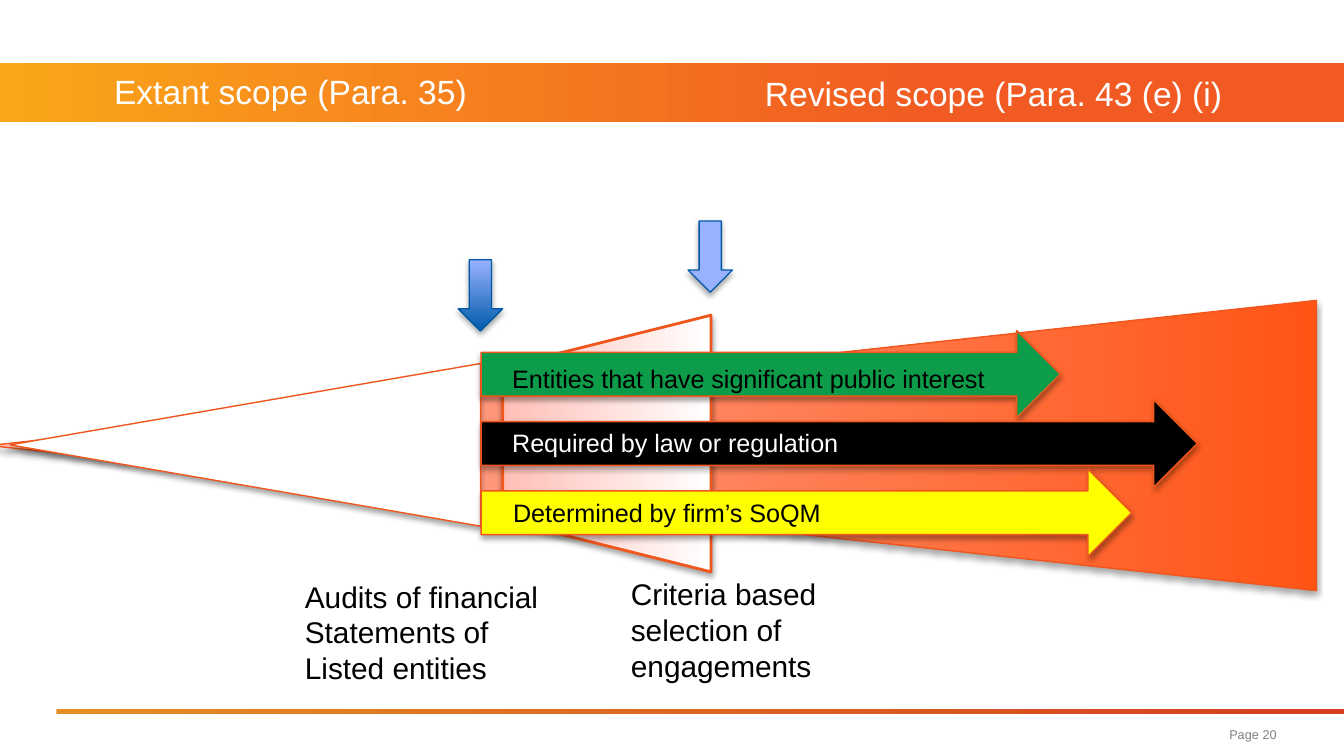
from dataclasses import dataclass
from typing import NamedTuple, Optional

from lxml import etree
from pptx import Presentation
from pptx.dml.color import RGBColor
from pptx.enum.shapes import MSO_SHAPE
from pptx.enum.text import MSO_ANCHOR, PP_ALIGN
from pptx.oxml.ns import qn
from pptx.util import Inches, Pt

RECT = MSO_SHAPE.RECTANGLE
EXTRACT = MSO_SHAPE.FLOWCHART_EXTRACT
TRIANGLE = MSO_SHAPE.ISOSCELES_TRIANGLE
TRAPEZOID = MSO_SHAPE.TRAPEZOID
DOWN = MSO_SHAPE.DOWN_ARROW
RIGHT = MSO_SHAPE.RIGHT_ARROW
TOP, MIDDLE = MSO_ANCHOR.TOP, MSO_ANCHOR.MIDDLE
ALIGN_LEFT, ALIGN_RIGHT = PP_ALIGN.LEFT, PP_ALIGN.RIGHT

WIDTH = Inches(10)
HEIGHT = WIDTH * 9 // 16
UNIT = WIDTH / 100


@dataclass(frozen=True)
class Theme:
    font: str = "Arial"
    black: str = "000000"
    white: str = "FFFFFF"
    grey: str = "808080"
    amber: str = "FAA61A"
    orange: str = "F15A22"
    ochre: str = "E58D23"
    red: str = "D53D20"
    flame: str = "FF5414"
    pink: str = "FFBFB7"
    edge: str = "F1561C"
    blue: str = "005BAA"
    sky: str = "98B2FF"
    blue_edge: str = "0059A6"
    green: str = "0D9C4A"
    yellow: str = "FFFF00"
    heading: float = 18
    caption: float = 16
    label: float = 13.5
    footer: float = 6.8


T = Theme()


class Box(NamedTuple):
    col: float
    row: float
    cols: float
    rows: float

    def emu(self) -> list[int]:
        return [round(v * UNIT) for v in self]


class Gradient(NamedTuple):
    start: str
    end: str
    angle: float = 0
    end_at: float = 1


@dataclass(frozen=True)
class Figure:
    kind: int
    box: Box
    fill: str | Gradient
    line: Optional[str] = T.edge
    weight: float = 0.75
    rotation: float = 0


@dataclass(frozen=True)
class Label:
    text: str
    box: Box
    size: float
    color: str = T.black
    align: int = ALIGN_LEFT
    anchor: int = TOP
    inset: Optional[float] = None


class Criterion(NamedTuple):
    text: str
    cols: float
    fill: str
    color: str
    label_col: float
    label_row: float


def add_shadow(s) -> None:
    effects = etree.SubElement(s._element.spPr, qn("a:effectLst"))
    shadow = etree.SubElement(effects, qn("a:outerShdw"), blurRad=str(Pt(3.1)),
                              dist=str(Pt(1.8)), dir="5400000", rotWithShape="0")
    color = etree.SubElement(shadow, qn("a:srgbClr"), val=T.black)
    etree.SubElement(color, qn("a:alpha"), val="35000")


def paint(fill, value: str | Gradient) -> None:
    if isinstance(value, str):
        fill.solid()
        fill.fore_color.rgb = RGBColor.from_string(value)
        return
    fill.gradient()
    fill.gradient_angle = value.angle
    stops = zip(fill.gradient_stops, (value.start, value.end), (0, value.end_at))
    for stop, color, position in stops:
        stop.color.rgb = RGBColor.from_string(color)
        stop.position = position


def draw_figure(shapes, figure: Figure) -> None:
    s = shapes.add_shape(figure.kind, *figure.box.emu())
    s.rotation = figure.rotation
    paint(s.fill, figure.fill)
    if figure.line is None:
        s.line.fill.background()
        s.shadow.inherit = False
        return
    paint(s.line.fill, figure.line)
    s.line.width = Pt(figure.weight)
    add_shadow(s)


def draw_label(shapes, label: Label) -> None:
    tf = shapes.add_textbox(*label.box.emu()).text_frame
    frame = {"word_wrap": True, "vertical_anchor": label.anchor}
    if label.inset is not None:
        for side in ("left", "top", "right", "bottom"):
            frame[f"margin_{side}"] = Inches(label.inset)
    for name, value in frame.items():
        setattr(tf, name, value)
    p = tf.paragraphs[0]
    p.alignment = label.align
    r = p.add_run()
    r.text = label.text
    for name, value in {"name": T.font, "size": Pt(label.size)}.items():
        setattr(r.font, name, value)
    r.font.color.rgb = RGBColor.from_string(label.color)


BARS = [
    Figure(RECT, Box(0, 4.7, 100, 4.4), Gradient(T.amber, T.orange, end_at=0.7), None),
    Figure(RECT, Box(4.2, 52.75, 95.8, 0.4), Gradient(T.ochre, T.red), None),
]
SCOPES = [
    Figure(EXTRACT, Box(37.8, -16.2, 21.6, 98.7), Gradient(T.flame, T.pink, 90), rotation=270),
    Figure(TRIANGLE, Box(12.2, 15.6, 12.1, 35), T.white, rotation=270),
    Figure(DOWN, Box(34.1, 19.33, 3.3, 5.3), Gradient(T.blue, T.sky, 90), T.blue_edge),
    Figure(TRAPEZOID, Box(35.6, 25.25, 19.1, 15.5), Gradient(T.white, T.pink, 90),
           weight=1.5, rotation=270),
    Figure(DOWN, Box(51.2, 16.45, 3.3, 5.3), T.sky, T.blue_edge),
]
CRITERIA = [
    Criterion("Entities that have significant public interest", 43.1, T.green, T.black,
              37.13, 26.55),
    Criterion("Required by law or regulation", 53.3, T.black, T.white, 37.13, 31.3),
    Criterion("Determined by firm’s SoQM", 48.4, T.yellow, T.black, 37.2, 36.5),
]
FIRST_ROW, PITCH = 24.6, 5.15
LABELS = [
    Label("Extant scope (Para. 35)", Box(7.5, 4.8, 36.5, 4), T.heading, T.white),
    Label("Revised scope (Para. 43 (e) (i)", Box(55.93, 4.94, 37.6, 4), T.heading, T.white),
    Label("Audits of financial Statements of Listed entities",
          Box(21.7, 42.54, 21.2, 9.1), T.caption),
    Label("Criteria based selection of engagements", Box(45.96, 42.34, 18, 9.1), T.caption),
    Label("Page 20", Box(72.2, 53.4, 22.8, 2.5), T.footer, T.grey, ALIGN_RIGHT, MIDDLE, 0),
]


def main() -> None:
    prs = Presentation()
    prs.slide_width, prs.slide_height = WIDTH, HEIGHT
    shapes = prs.slides.add_slide(prs.slide_layouts[6]).shapes
    for figure in BARS + SCOPES:
        draw_figure(shapes, figure)
    for i, c in enumerate(CRITERIA):
        box = Box(35.8, FIRST_ROW + i * PITCH, c.cols, 6.5)
        draw_figure(shapes, Figure(RIGHT, box, c.fill))
    criterion_labels = [Label(c.text, Box(c.label_col, c.label_row, 37.4, 3.3), T.label, c.color)
                        for c in CRITERIA]
    for label in LABELS + criterion_labels:
        draw_label(shapes, label)
    prs.save("out.pptx")


if __name__ == "__main__":
    main()
